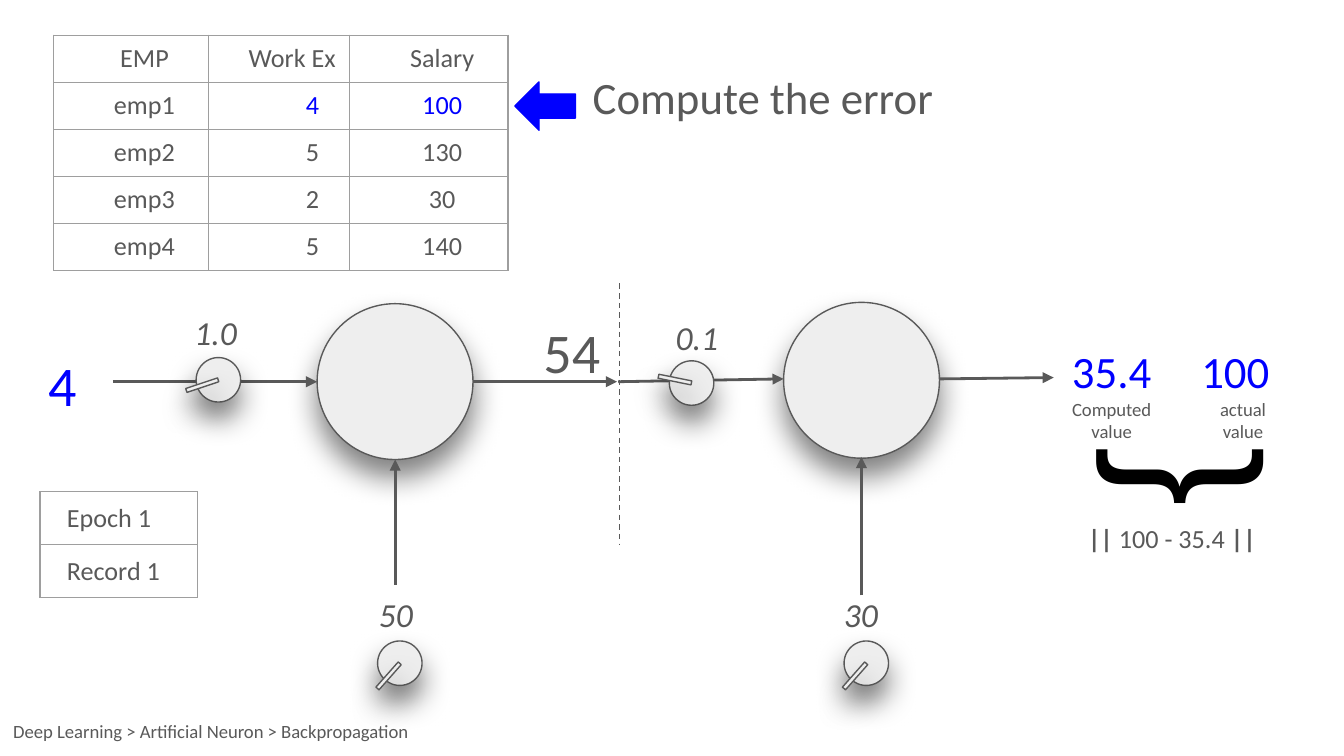
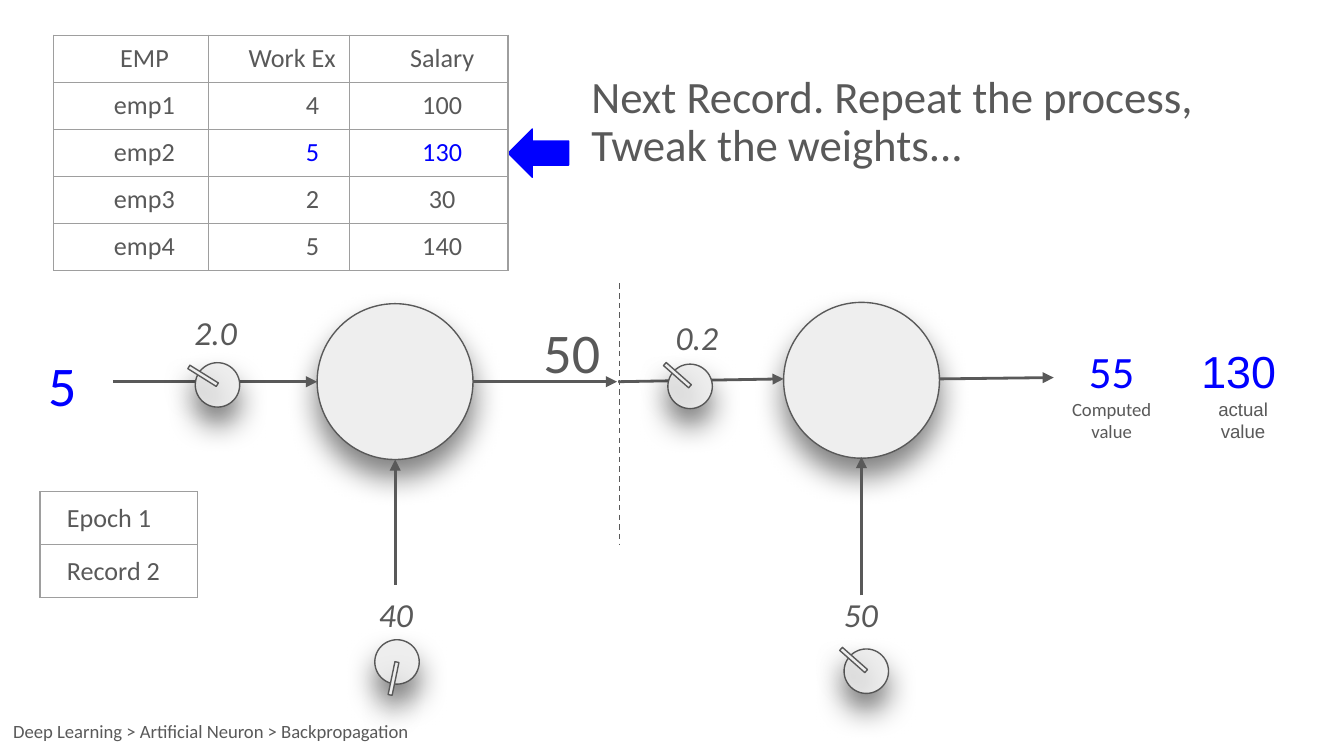
from dataclasses import dataclass
from math import cos, radians, sin

from lxml.etree import SubElement
from pptx import Presentation
from pptx.dml.color import RGBColor
from pptx.enum.dml import MSO_LINE
from pptx.enum.shapes import MSO_CONNECTOR, MSO_SHAPE
from pptx.enum.text import MSO_ANCHOR, MSO_AUTO_SIZE, PP_ALIGN
from pptx.oxml.ns import qn
from pptx.util import Pt


@dataclass(frozen=True)
class Theme:
    ink: str = "595959"
    blue: str = "0000FF"
    black: str = "000000"
    disc: str = "EEEEEE"
    grid: str = "9E9E9E"
    face: str = "Calibri"
    plain: str = "Arial"
    small: int = 10
    cell: int = 14
    weight: int = 18
    head: int = 24
    large: int = 30
    brace: int = 96
    thin: float = 0.75
    thick: float = 1.5


T = Theme()
LEFT, MID = PP_ALIGN.LEFT, PP_ALIGN.CENTER


def write(frame, text, size=T.cell, color=T.ink, face=T.face, align=MID, inset=7.2,
          middle=True, italic=False, space=None, indent=0):
    frame.word_wrap = True
    frame.vertical_anchor = MSO_ANCHOR.MIDDLE if middle else MSO_ANCHOR.TOP
    frame.margin_left = frame.margin_right = Pt(inset)
    frame.margin_top = frame.margin_bottom = Pt(inset)
    for row, line in enumerate(text.split("\n")):
        para = frame.add_paragraph() if row else frame.paragraphs[0]
        para.alignment = align
        para.line_spacing = space
        if indent:
            prop = para._p.get_or_add_pPr()
            prop.set("marL", str(Pt(indent)))
            prop.set("indent", "0")
        for part, words in enumerate(line.split("*")):
            if words:
                run = para.add_run()
                run.text = words
                font = run.font
                font.name, font.size = face, Pt(size)
                font.bold, font.italic = part % 2 == 1, italic
                font.color.rgb = RGBColor.from_string(color)


def draw(host, kind, x, y, w, h, fill=T.disc, line=T.ink, turn=0, shade=True):
    shape = host.add_shape(kind, Pt(x), Pt(y), Pt(w), Pt(h))
    shape.rotation = turn
    shape.fill.solid()
    shape.fill.fore_color.rgb = RGBColor.from_string(fill)
    shape.line.color.rgb = RGBColor.from_string(line)
    shape.line.width = Pt(T.thin)
    shape.shadow.inherit = False
    if shade:
        glow = SubElement(shape._element.spPr.find(qn("a:effectLst")), qn("a:outerShdw"),
                          blurRad=str(Pt(15.8)), dist=str(Pt(9)), dir="5400000",
                          algn="bl", rotWithShape="0")
        tint = SubElement(glow, qn("a:srgbClr"), val=T.black)
        SubElement(tint, qn("a:alpha"), val="50000")


STAFF = (("EMP", "Work Ex", "Salary"), ("emp1", "4", "100"), ("emp2", "5", "130"),
         ("emp3", "2", "30"), ("emp4", "5", "140"))
DISC, KNOB, REACH = 83.5, 23.8, 9.1
NEEDLE = (2.2, 18)
LINKS = (
    (211.7, 313.2, 211.7, 246.2, True),
    (331.9, 151.9, 331.9, 291.6, False),
    (503.3, 203, 564.5, 202.3, True),
    (331.2, 204.5, 419.8, 203, True),
    (461.5, 319, 461.5, 244.8, True),
    (60.5, 204.5, 169.9, 204.5, True),
    (253.4, 204.5, 330.5, 204.5, True),
)
SPOTS = ((90, 162), (186.5, 313.2), (347.8, 164.9), (435.6, 313.2))
STEPS = (
    dict(title="Compute the error", top=(317.5, 29.5), arrow=(275.8, 43.9), record=1,
         weights=("1.0", "50", "0.1", "30"), middle="54", out="35.4", face=T.face,
         knobs=((117, 203.5, 71.5), (214.2, 355.3, 41.5),
                (370.5, 205.2, 101.5), (464.1, 355.3, 41.5)),
         error="*||* 100 - 35.4 *||*"),
    dict(title="Next Record. Repeat the process,\nTweak the weights...", top=(316.8, 41.8),
         arrow=(272.2, 69.1), record=2,
         weights=("2.0", "40", "0.2", "50"), middle="50", out="55", face=T.plain,
         knobs=((116.5, 206.2, 122), (212.7, 354.6, 11.7),
                (369.7, 207, 131.5), (464.1, 359.6, 131.5)),
         error=None),
)

deck = Presentation()
deck.slide_width, deck.slide_height = Pt(720), Pt(405)

for step in STEPS:
    slide = deck.slides.add_slide(deck.slide_layouts[5])
    shapes = slide.shapes
    record = step["record"]
    name, input_, actual = STAFF[record]

    title = shapes.title
    title.left, title.top = (Pt(v) for v in step["top"])
    title.width, title.height = Pt(376.6), Pt(48.2)
    title.text_frame.auto_size = MSO_AUTO_SIZE.NONE
    write(title.text_frame, step["title"], size=T.head, align=LEFT, inset=0, space=0.9)

    for x, y in ((169.9, 162.7), (419.8, 162)):
        draw(shapes, MSO_SHAPE.OVAL, x, y, DISC, DISC)

    for x1, y1, x2, y2, flow in LINKS:
        link = shapes.add_connector(MSO_CONNECTOR.STRAIGHT, Pt(x1), Pt(y1), Pt(x2), Pt(y2))
        link.line.color.rgb = RGBColor.from_string(T.ink)
        link.line.width = Pt(T.thick if flow else T.thin)
        if flow:
            SubElement(link.line._get_or_add_ln(), qn("a:tailEnd"), type="triangle")
        else:
            link.line.dash_style = MSO_LINE.DASH
        SubElement(link._element.spPr, qn("a:effectLst"))

    for x, y, turn in step["knobs"]:
        group = shapes.add_group_shape().shapes
        draw(group, MSO_SHAPE.OVAL, x - KNOB / 2, y - KNOB / 2, KNOB, KNOB, turn=turn - 86.5)
        wide, long = NEEDLE
        tip_x = x - REACH * sin(radians(turn))
        tip_y = y + REACH * cos(radians(turn))
        draw(group, MSO_SHAPE.RECTANGLE, tip_x - wide / 2, tip_y - long / 2, wide, long, turn=turn)

    draw(shapes, MSO_SHAPE.LEFT_ARROW, *step["arrow"], 32.4, 25.9,
         fill=T.blue, line=T.blue, shade=False)

    face = step["face"]
    notes = [(x, y, 51.1, 31.7, text, dict(size=T.weight, italic=True))
             for (x, y), text in zip(SPOTS, step["weights"])]
    notes += [
        (18.7, 180.7, 41.8, 46.8, input_,
         dict(size=T.large, color=T.blue, align=LEFT, middle=False)),
        (638.6, 205.9, 54.7, 23, "actual value", dict(size=T.small, face=face, middle=False)),
        (636.5, 177.1, 88.6, 46.8, actual,
         dict(size=T.head, color=T.blue, face=face, align=LEFT, middle=False)),
        (560.2, 182.9, 70.6, 31.7, step["out"], dict(size=T.head, color=T.blue)),
        (280.8, 172.1, 51.1, 31.7, step["middle"], dict(size=T.large)),
        (560.2, 205.9, 70.6, 23, "Computed value", dict(size=T.small, middle=False)),
        (0, 379.4, 239, 21.6, "Deep Learning > Artificial Neuron > Backpropagation",
         dict(size=T.small, align=LEFT, middle=False)),
    ]
    if step["error"]:
        notes += [
            (597.6, 192.2, 41.8, 131, "{",
             dict(size=T.brace, color=T.black, face=T.plain, align=LEFT)),
            (568.8, 272.2, 118.1, 31.7, step["error"], {}),
        ]
    for x, y, w, h, text, style in notes:
        box = shapes.add_textbox(Pt(x), Pt(y), Pt(w), Pt(h))
        box.rotation = 270 if text == "{" else 0
        write(box.text_frame, text, **style)

    status = (("Epoch 1",), (f"Record {record}",))
    for x, y, wides, high, rows in ((28.8, 18.9, (82.8, 75.6, 85), 25.2, STAFF),
                                    (21.4, 263.5, (84.6,), 28.3, status)):
        table = shapes.add_table(len(rows), len(wides), Pt(x), Pt(y),
                                 Pt(sum(wides)), Pt(high * len(rows))).table
        table.first_row = table.horz_banding = False
        for col, wide in zip(table.columns, wides):
            col.width = Pt(wide)
        for r, row in enumerate(rows):
            table.rows[r].height = Pt(high)
            for c, text in enumerate(row):
                cell = table.cell(r, c)
                live = rows is STAFF and r == record and c
                write(cell.text_frame, text, inset=0,
                      color=T.blue if live else T.ink,
                      align=MID if rows is STAFF else LEFT,
                      indent=36 if r and c == 1 else 14.4)
                cell.vertical_anchor = MSO_ANCHOR.MIDDLE
                cell.margin_left = cell.margin_right = 0
                cell.margin_top = cell.margin_bottom = 0
                for side in ("a:lnL", "a:lnR", "a:lnT", "a:lnB"):
                    edge = SubElement(cell._tc.get_or_add_tcPr(), qn(side), w=str(Pt(T.thin)))
                    SubElement(SubElement(edge, qn("a:solidFill")), qn("a:srgbClr"), val=T.grid)
                cell.fill.background()

deck.save("out.pptx")
